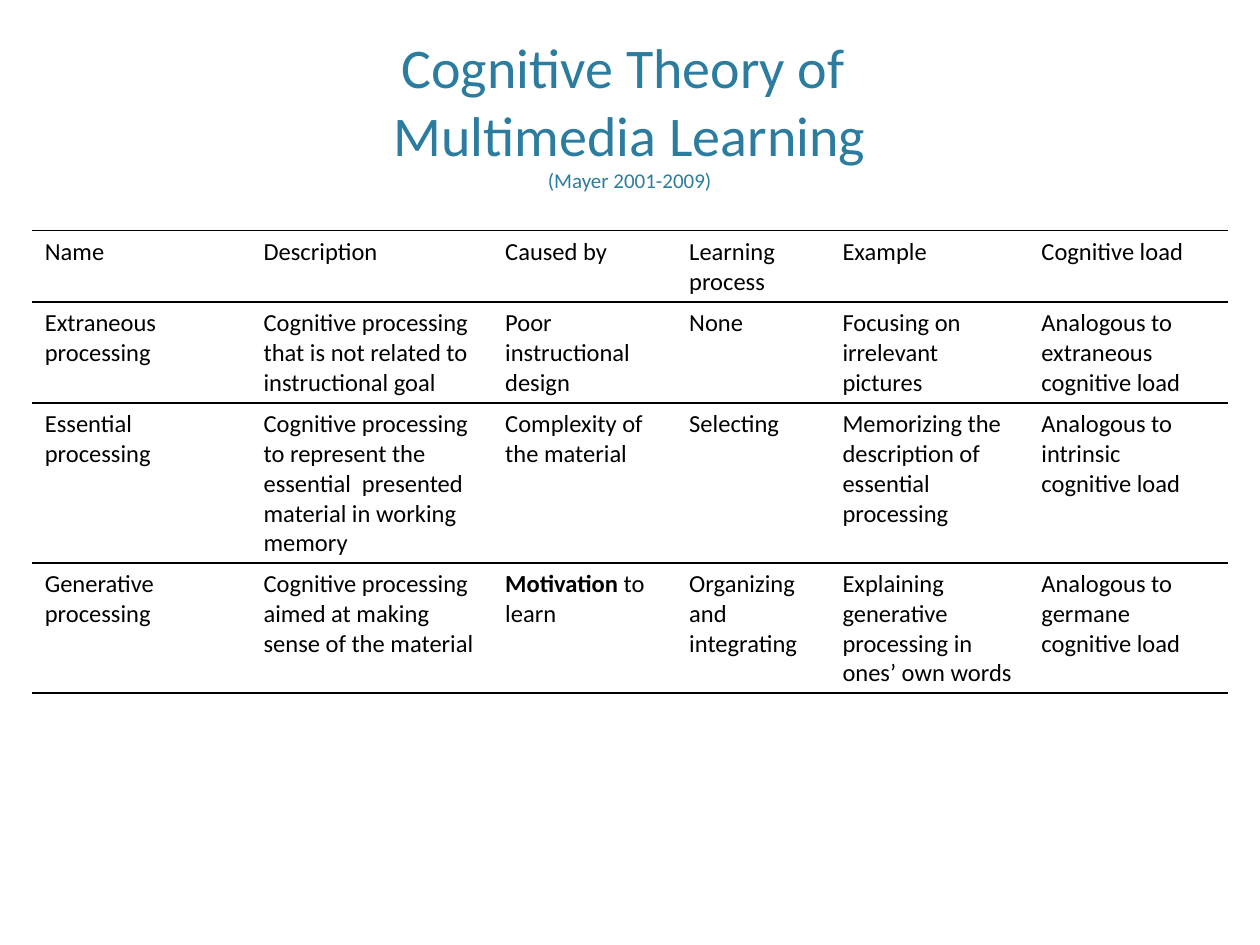
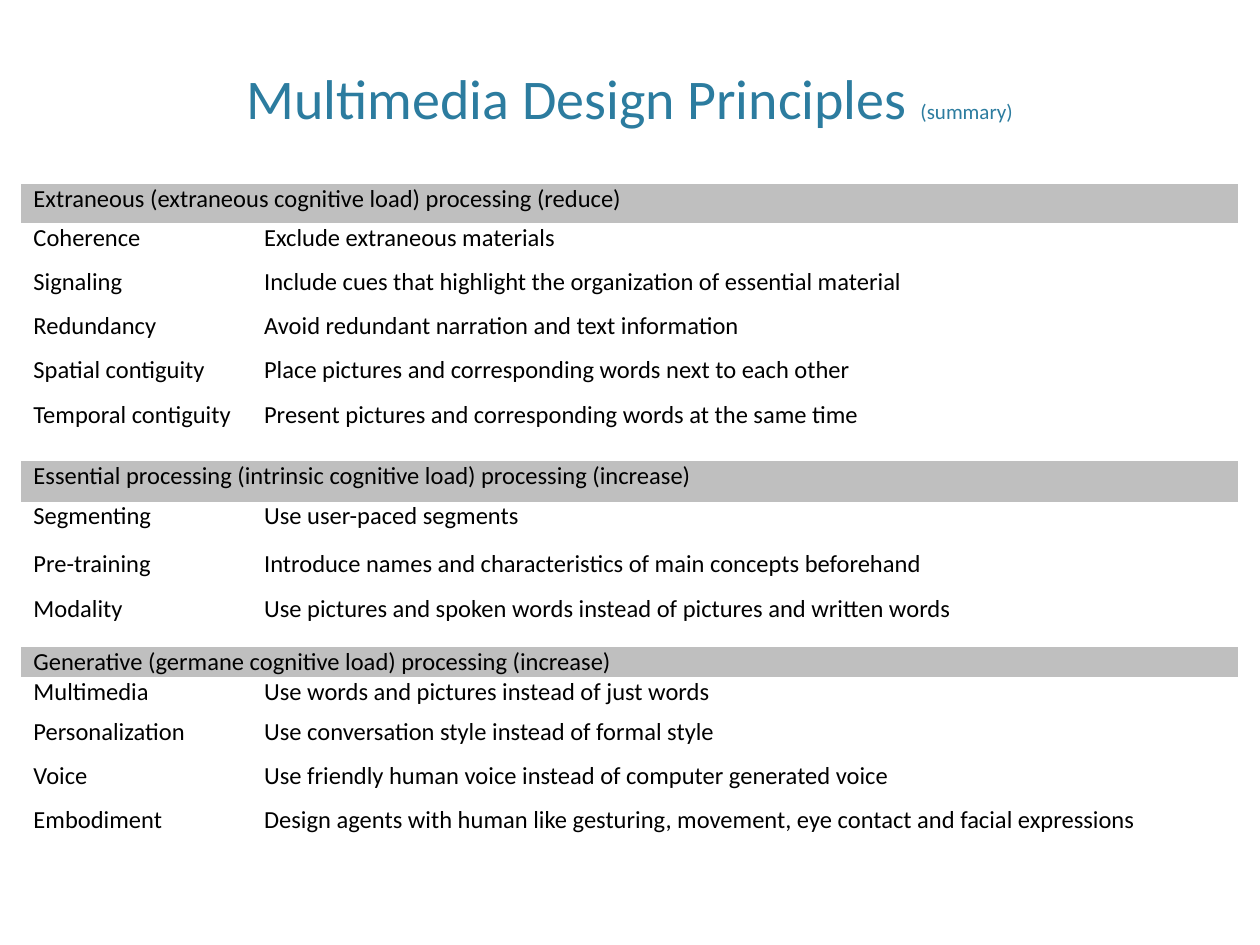
"""Build two slides on cognitive processing and multimedia design principles."""
from dataclasses import dataclass

import lxml.etree
import pptx
import pptx.dml.color
import pptx.enum.text
import pptx.oxml.ns
import pptx.util

Cm = pptx.util.Cm
Pt = pptx.util.Pt

FONT = "Calibri"
TITLE_COLOR = "2C7C9F"
TEXT_COLOR = "000000"
BAND_COLOR = "BFBFBF"
BODY_SIZE = 14
PLAIN_TABLE_STYLE = "{2D5ABB26-0587-4C30-8999-92F81FD0307C}"


@dataclass(frozen=True)
class Part:
    """A piece of text with its own look."""
    text: str
    size: float = BODY_SIZE
    color: str = TEXT_COLOR
    bold: bool = False


@dataclass(frozen=True)
class Principle:
    """A design principle and the height of its row in cm."""
    name: str
    advice: str
    height: float = 0.89


@dataclass(frozen=True)
class Group:
    """A band heading, its height in cm and the principles below it."""
    heading: str
    height: float
    principles: tuple[Principle, ...]


PROCESSING_WIDTHS = (4.41, 4.87, 3.71, 3.09, 4.01, 4.01)
PROCESSING_ROWS = (
    ("Name", "Description", "Caused by", "Learning process", "Example",
     "Cognitive load"),
    ("Extraneous processing",
     "Cognitive processing that is not related to instructional goal",
     "Poor instructional design", "None", "Focusing on irrelevant pictures",
     "Analogous to extraneous cognitive load"),
    ("Essential processing",
     "Cognitive processing to represent the essential  presented material "
     "in working memory",
     "Complexity of the material", "Selecting",
     "Memorizing the description of essential processing",
     "Analogous to intrinsic cognitive load"),
    ("Generative processing",
     "Cognitive processing aimed at making sense of the material",
     (Part("Motivation", bold=True), Part(" to learn")),
     "Organizing and integrating",
     "Explaining generative processing in ones’ own words",
     "Analogous to germane cognitive load"),
)
# Ruled edges of each row: T is top, B is bottom.
PROCESSING_RULES = ("TB", "TB", "T", "B")

PRINCIPLE_WIDTHS = (4.65, 19.89)
PRINCIPLE_GROUPS = (
    Group("Extraneous (extraneous cognitive load) processing (reduce)", 0.79, (
        Principle("Coherence", "Exclude extraneous materials"),
        Principle("Signaling", "Include cues that highlight the organization "
                  "of essential material"),
        Principle("Redundancy",
                  "Avoid redundant narration and text information"),
        Principle("Spatial contiguity", "Place pictures and corresponding "
                  "words next to each other"),
        Principle("Temporal contiguity", "Present pictures and corresponding "
                  "words at the same time", 1.24),
    )),
    Group("Essential processing (intrinsic cognitive load) processing "
          "(increase)", 0.81, (
        Principle("Segmenting", "Use user-paced segments", 0.97),
        Principle("Pre-training", "Introduce names and characteristics of "
                  "main concepts beforehand"),
        Principle("Modality", "Use pictures and spoken words instead of "
                  "pictures and written words", 1.07),
    )),
    Group("Generative (germane cognitive load) processing (increase)", 0.61, (
        Principle("Multimedia", "Use words and pictures instead of just words",
                  0.81),
        Principle("Personalization",
                  "Use conversation style instead of formal style"),
        Principle("Voice", "Use friendly human voice instead of computer "
                  "generated voice"),
        Principle("Embodiment", "Design agents with human like gesturing, "
                  "movement, eye contact and facial expressions", 1.24),
    )),
)


def rgb(value: str) -> pptx.dml.color.RGBColor:
    """Turn a hex string into a colour."""
    return pptx.dml.color.RGBColor.from_string(value)


def write_parts(paragraph, parts: tuple[Part, ...]) -> None:
    """Fill a paragraph; the first part may hold line breaks."""
    paragraph.text = parts[0].text
    looks = [(run, parts[0]) for run in paragraph.runs]
    for part in parts[1:]:
        run = paragraph.add_run()
        run.text = part.text
        looks.append((run, part))
    for run, part in looks:
        run.font.name = FONT
        run.font.size = Pt(part.size)
        run.font.bold = part.bold
        run.font.color.rgb = rgb(part.color)


def add_title(slide, title: str, note: str, bottom_margin: float = 0.13) -> None:
    """Add the centred title with its small note."""
    shape = slide.shapes.add_textbox(Cm(1.52), Cm(0.3), Cm(22.35), Cm(3.71))
    text_frame = shape.text_frame
    text_frame.word_wrap = True
    text_frame.vertical_anchor = pptx.enum.text.MSO_ANCHOR.BOTTOM
    text_frame.margin_bottom = Cm(bottom_margin)
    paragraph = text_frame.paragraphs[0]
    paragraph.alignment = pptx.enum.text.PP_ALIGN.CENTER
    write_parts(paragraph, (Part(title, 32, TITLE_COLOR),
                            Part(note, 12, TITLE_COLOR)))


def add_plain_table(slide, left: float, top: float,
                    widths: tuple[float, ...], heights: list[float]):
    """Add a table without style, sized in cm."""
    shape = slide.shapes.add_table(
        len(heights), len(widths), Cm(left), Cm(top),
        Cm(sum(widths)), Cm(sum(heights)))
    table = shape.table
    table.first_row = False
    table.horz_banding = False
    style = table._tbl.tblPr.find(pptx.oxml.ns.qn("a:tableStyleId"))
    style.text = PLAIN_TABLE_STYLE
    for column, width in zip(table.columns, widths):
        column.width = Cm(width)
    for row, height in zip(table.rows, heights):
        row.height = Cm(height)
    for cell in table.iter_cells():
        cell.fill.background()
    return table


def rule_cell(cell, edges: str) -> None:
    """Draw thin black rules on the named edges of a cell."""
    properties = cell._tc.get_or_add_tcPr()
    qn = pptx.oxml.ns.qn
    for position, edge in enumerate(edges):
        line = lxml.etree.Element(qn(f"a:ln{edge}"), w=str(Pt(1)))
        fill = lxml.etree.SubElement(line, qn("a:solidFill"))
        lxml.etree.SubElement(fill, qn("a:srgbClr"), val=TEXT_COLOR)
        properties.insert(position, line)


def write_cell(cell, content: str | tuple[Part, ...]) -> None:
    """Write plain text or formatted parts into a cell."""
    parts = (Part(content),) if isinstance(content, str) else content
    write_parts(cell.text_frame.paragraphs[0], parts)


def add_processing_table(slide) -> None:
    """Add the ruled table of the three kinds of processing."""
    heights = [1.04] * len(PROCESSING_ROWS)
    table = add_plain_table(slide, 0.65, 4.65, PROCESSING_WIDTHS, heights)
    for row, contents, edges in zip(table.rows, PROCESSING_ROWS,
                                    PROCESSING_RULES):
        for cell, content in zip(row.cells, contents):
            write_cell(cell, content)
            rule_cell(cell, edges)


def add_principles_table(slide) -> None:
    """Add the table of principles, grouped under grey bands."""
    heights = [entry.height for group in PRINCIPLE_GROUPS
               for entry in (group, *group.principles)]
    table = add_plain_table(slide, 0.42, 3.71, PRINCIPLE_WIDTHS, heights)
    for cell in table.iter_cells():
        cell.margin_top = cell.margin_bottom = Cm(0)
    rows = iter(table.rows)
    for group in PRINCIPLE_GROUPS:
        band, band_end = next(rows).cells
        for cell in (band, band_end):
            cell.fill.solid()
            cell.fill.fore_color.rgb = rgb(BAND_COLOR)
        band.merge(band_end)
        write_cell(band, group.heading)
        for principle in group.principles:
            name_cell, advice_cell = next(rows).cells
            write_cell(name_cell, principle.name)
            write_cell(advice_cell, principle.advice)


def main() -> None:
    """Build and save the presentation."""
    presentation = pptx.Presentation()
    presentation.slide_width = Cm(25.4)
    presentation.slide_height = Cm(19.05)
    blank = presentation.slide_layouts[6]

    slide = presentation.slides.add_slide(blank)
    add_title(slide, "Cognitive Theory of \vMultimedia Learning\v",
              "(Mayer 2001-2009)")
    add_processing_table(slide)

    slide = presentation.slides.add_slide(blank)
    add_title(slide, "Multimedia Design Principles ", "(summary)",
              bottom_margin=1.37)
    add_principles_table(slide)

    presentation.save("out.pptx")


main()
